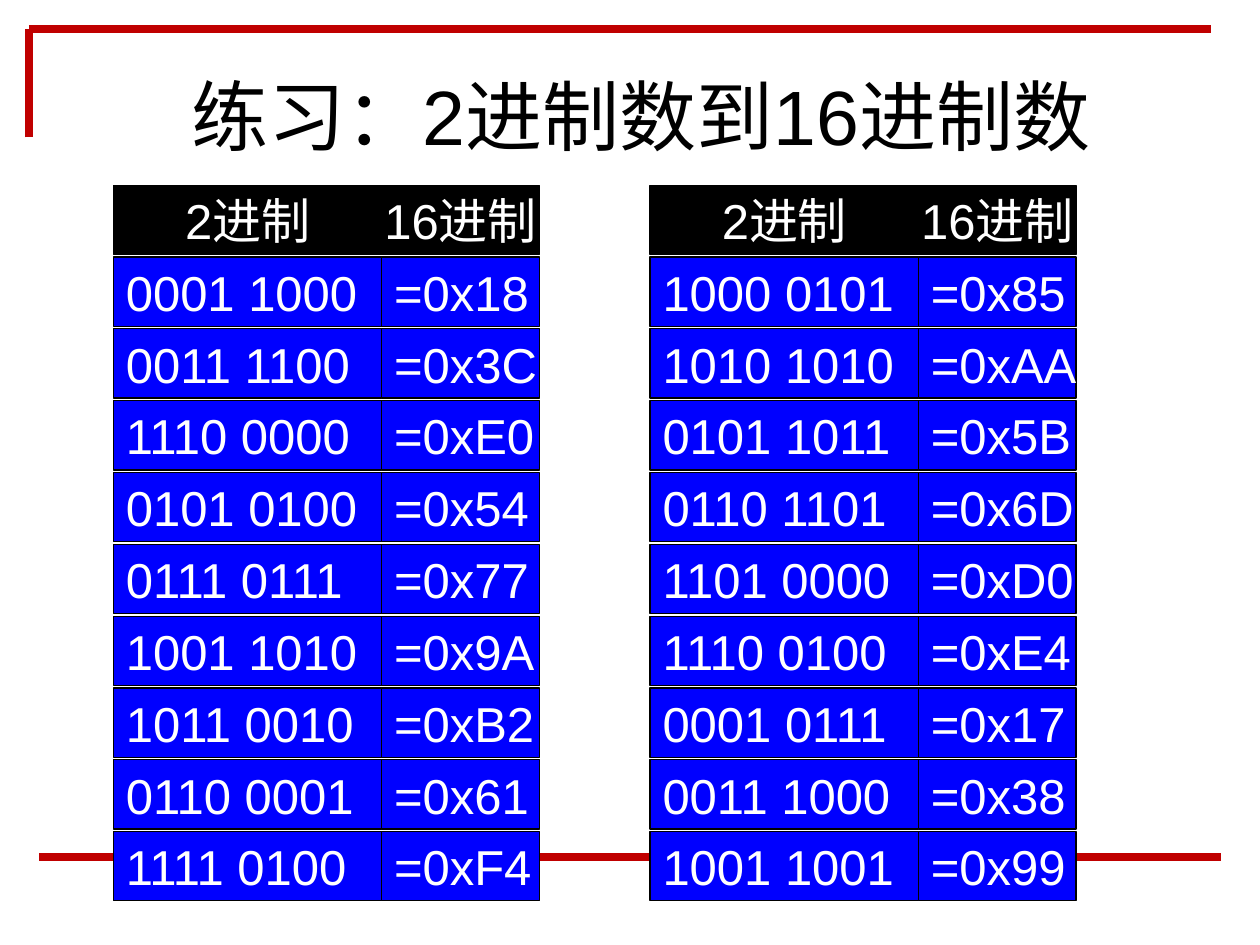
from lxml import etree
from pptx import Presentation
from pptx.dml.color import RGBColor
from pptx.enum.shapes import MSO_CONNECTOR, MSO_SHAPE
from pptx.enum.text import MSO_ANCHOR, MSO_AUTO_SIZE, PP_ALIGN
from pptx.oxml.ns import qn
from pptx.util import Inches, Pt

STRAIGHT = MSO_CONNECTOR.STRAIGHT
RECTANGLE = MSO_SHAPE.RECTANGLE
MIDDLE = MSO_ANCHOR.MIDDLE
NO_FIT = MSO_AUTO_SIZE.NONE
LEFT, CENTER = PP_ALIGN.LEFT, PP_ALIGN.CENTER

WIDTH, HEIGHT = 10, 7.5
RED, BLUE, BLACK, WHITE = "C00000", "0000FF", "000000", "FFFFFF"
FRAME_LINES = [
    (0.23, 1.09, 0.23, 0.23),
    (0.23, 0.23, 9.61, 0.23),
    (0.31, 6.8, 9.69, 6.8),
]
TITLE_BOX = (1.06, 0.6, 8.05, 0.62)
TABLE_LEFTS = (0.9, 5.16)
TABLE_TOP, TABLE_WIDTH = 1.47, 3.38
ROW_PITCH, ROW_HEIGHT = 0.57, 0.55
BINARY_SHARE = 0.63
HEADINGS = ("2进制", "16进制")
BINARY_COLUMNS = [
    ["0001 1000", "0011 1100", "1110 0000", "0101 0100", "0111 0111",
     "1001 1010", "1011 0010", "0110 0001", "1111 0100"],
    ["1000 0101", "1010 1010", "0101 1011", "0110 1101", "1101 0000",
     "1110 0100", "0001 0111", "0011 1000", "1001 1001"],
]


def color(value):
    """Turn a hex string into a colour."""
    return RGBColor.from_string(value)


def apply_format(target, values):
    """Set each named attribute on the target."""
    for name, value in values.items():
        setattr(target, name, value)


def write_text(shape, text, size, ink, align, wrap):
    """Put one formatted paragraph in a shape."""
    frame = shape.text_frame
    apply_format(frame, {"word_wrap": wrap, "vertical_anchor": MIDDLE, "auto_size": NO_FIT})
    para = frame.paragraphs[0]
    para.alignment = align
    span = para.add_run()
    span.text = text
    apply_format(span.font, {"name": "Arial", "size": Pt(size), "bold": False})
    span.font.color.rgb = color(ink)


def add_frame(page, lines):
    """Draw the red rules around the page."""
    for ends in lines:
        rule = page.shapes.add_connector(STRAIGHT, *map(Inches, ends))
        rule.line.width = Pt(4.5)
        rule.line.color.rgb = color(RED)
        etree.SubElement(rule._element.spPr, qn("a:effectLst"))


def add_title(page, box):
    """Place and format the title placeholder."""
    title = page.shapes.title
    apply_format(title, dict(zip(("left", "top", "width", "height"), map(Inches, box))))
    write_text(title, "练习：2进制数到16进制数", 44, BLACK, CENTER, True)


def add_cell(page, box, text, fill, align):
    """Draw one filled cell with its text."""
    cell = page.shapes.add_shape(RECTANGLE, *map(Inches, box))
    cell.shadow.inherit = False
    cell.fill.solid()
    cell.fill.fore_color.rgb = color(fill)
    cell.line.color.rgb = color(BLACK)
    cell.line.width = Pt(0.75)
    write_text(cell, text, 28, WHITE, align, False)


def add_conversions(page, left, top, width, binaries):
    """Stack a heading row and the binary numbers with their hex values."""
    split = width * BINARY_SHARE
    columns = ((left, split), (left + split, width - split))
    values = [(bits, f"=0x{int(bits.replace(' ', ''), 2):02X}") for bits in binaries]
    for row, texts in enumerate([HEADINGS, *values]):
        fill, align = (BLUE, LEFT) if row else (BLACK, CENTER)
        for (start, span_width), text in zip(columns, texts):
            box = (start, top + row * ROW_PITCH, span_width, ROW_HEIGHT)
            add_cell(page, box, text, fill, align)


def main():
    """Build the slide and save it."""
    deck = Presentation()
    apply_format(deck, {"slide_width": Inches(WIDTH), "slide_height": Inches(HEIGHT)})
    page = deck.slides.add_slide(deck.slide_layouts[5])
    add_frame(page, FRAME_LINES)
    add_title(page, TITLE_BOX)
    for left, binaries in zip(TABLE_LEFTS, BINARY_COLUMNS):
        add_conversions(page, left, TABLE_TOP, TABLE_WIDTH, binaries)
    deck.save("out.pptx")


if __name__ == "__main__":
    main()
